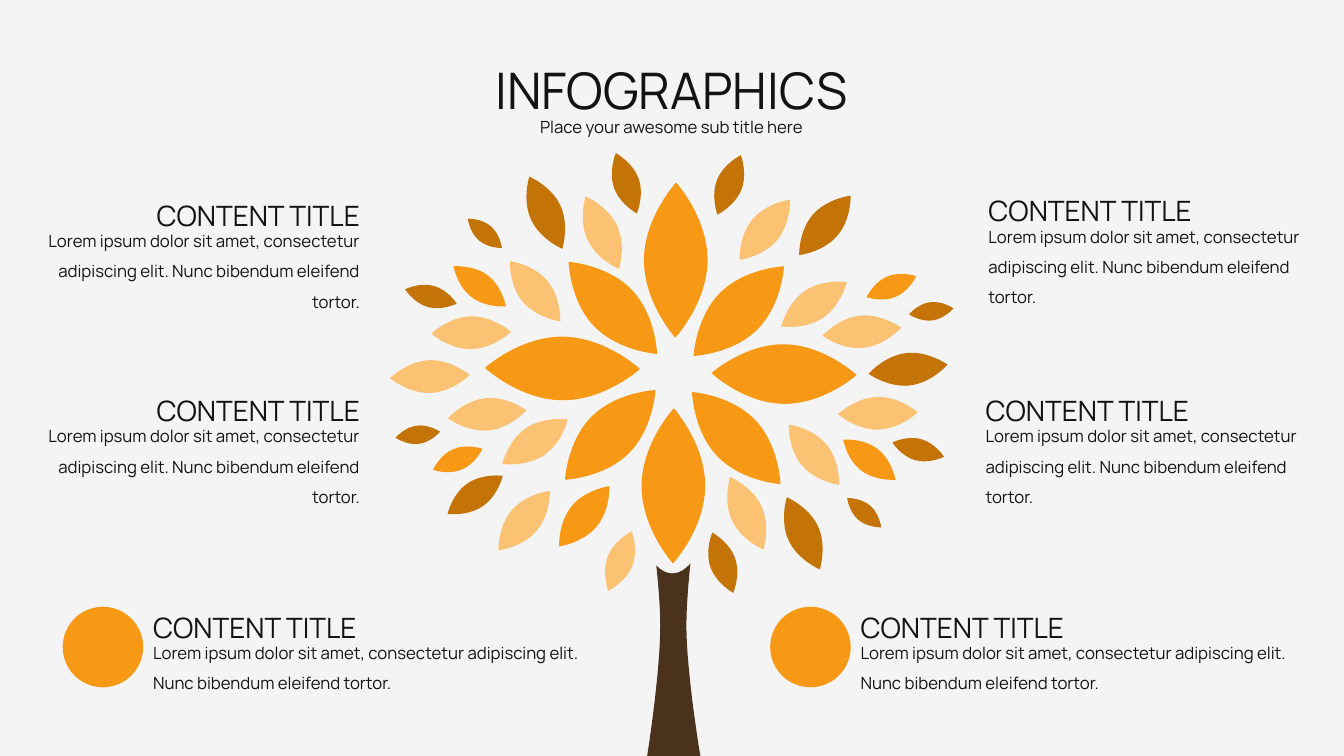
"""Build the tree infographic slide with leaves, trunk and six text cards."""
from dataclasses import dataclass

from lxml import etree
from pptx import Presentation
from pptx.dml.color import RGBColor
from pptx.enum.shapes import MSO_SHAPE
from pptx.enum.text import MSO_ANCHOR, MSO_AUTO_SIZE, PP_ALIGN
from pptx.oxml.ns import qn
from pptx.shapes.autoshape import Shape
from pptx.slide import Slide
from pptx.util import Cm, Pt

OVAL = MSO_SHAPE.OVAL
TOP = MSO_ANCHOR.TOP
GROW = MSO_AUTO_SIZE.SHAPE_TO_FIT_TEXT
LEFT, CENTER, RIGHT, JUSTIFY = PP_ALIGN.LEFT, PP_ALIGN.CENTER, PP_ALIGN.RIGHT, PP_ALIGN.JUSTIFY

BACKGROUND = RGBColor(0xF4, 0xF4, 0xF4)
INK = RGBColor(0x13, 0x13, 0x13)
ORANGE = RGBColor(0xF8, 0x99, 0x15)
PEACH = RGBColor(0xFB, 0xC2, 0x73)
OCHRE = RGBColor(0xC4, 0x74, 0x06)
BARK = RGBColor(0x4B, 0x32, 0x1D)

FONT = "Manrope"
HEADING = "CONTENT TITLE"
BODY = "Lorem ipsum dolor sit amet, consectetur adipiscing elit. Nunc bibendum eleifend tortor."
TITLE_ONLY_LAYOUT = 5
LEAF_WIDTH_RATIO = 0.41
LEAF_ROUNDNESS = 0.55
CROWN_CENTER = (17, 9.4)
CIRCLE_SIZE = 2.03

Point = tuple[float, float]
Curve = tuple[Point, Point, Point, Point]


@dataclass(frozen=True)
class Leaf:
    """A leaf between two tips, in centimetres."""
    start: Point
    end: Point
    color: RGBColor

    def opposite(self, color: RGBColor) -> "Leaf":
        """Turn the leaf half a circle around the crown centre."""
        center_x, center_y = CROWN_CENTER
        start, end = ((2 * center_x - x, 2 * center_y - y) for x, y in (self.start, self.end))
        return Leaf(start, end, color)


@dataclass(frozen=True)
class Card:
    """A heading with body text, in centimetres."""
    left: float
    top: float
    width: float = 8.66
    body_height: float = 2.57
    heading_align: PP_ALIGN = JUSTIFY
    body_align: PP_ALIGN = LEFT
    has_circle: bool = False


PAIRED_LEAVES = [
    Leaf((17.04, 4.6), (17.02, 8.51), ORANGE),
    Leaf((17.48, 8.97), (19.76, 6.71), ORANGE),
    Leaf((14.33, 6.6), (16.56, 8.92), ORANGE),
    Leaf((21.84, 7.49), (23.09, 6.96), ORANGE),
    Leaf((12.75, 7.72), (11.43, 6.71), ORANGE),
    Leaf((19.69, 8.23), (21.34, 7.11), PEACH),
    Leaf((20.73, 8.46), (22.71, 8.26), PEACH),
    Leaf((12.88, 8.36), (10.87, 8.41), PEACH),
    Leaf((14.12, 8.1), (12.85, 6.58), PEACH),
    Leaf((15.6, 6.78), (14.76, 4.95), PEACH),
    Leaf((11.51, 7.65), (10.21, 7.29), OCHRE),
    Leaf((12.65, 6.25), (11.79, 5.51), OCHRE),
    Leaf((22.91, 7.92), (24.03, 7.77), OCHRE),
    Leaf((16.05, 5.38), (15.52, 3.86), OCHRE),
    Leaf((14.17, 6.27), (13.34, 4.45), OCHRE),
]
UPPER_LEAF_OVER_ORANGE = Leaf((18.64, 6.55), (19.91, 5.03), PEACH)
UPPER_LEAVES_OVER_PEACH = [
    Leaf((20.14, 6.43), (21.44, 4.93), OCHRE),
    Leaf((18.08, 5.41), (18.67, 3.91), OCHRE),
]
SINGLE_LEAVES = [
    Leaf((12.22, 9.27), (16.13, 9.3), ORANGE),
    Leaf((17.93, 9.4), (21.59, 9.45), ORANGE),
    Leaf((21.89, 9.42), (23.88, 9.19), OCHRE),
    Leaf((9.83, 9.53), (11.84, 9.45), PEACH),
    Leaf((12.67, 11.99), (11.28, 12.95), OCHRE),
]
TRUNK = [
    ((17.4, 14.2), (17.27, 14.35), (17.12, 14.45), (16.94, 14.45)),
    ((16.94, 14.45), (16.81, 14.45), (16.66, 14.38), (16.54, 14.25)),
    ((16.54, 14.25), (16.59, 14.73), (16.64, 15.29), (16.64, 15.77)),
    ((16.64, 15.77), (16.64, 16.97), (16.31, 19.05), (16.31, 19.05)),
    ((16.31, 19.05), (16.31, 19.05), (17.65, 19.05), (17.65, 19.05)),
    ((17.65, 19.05), (17.65, 19.05), (17.3, 16.97), (17.3, 15.77)),
    ((17.3, 15.77), (17.3, 15.26), (17.35, 14.69), (17.4, 14.2)),
]
CARDS = [
    Card(24.66, 4.34),
    Card(24.59, 9.37),
    Card(0.66, 4.45, heading_align=RIGHT, body_align=RIGHT),
    Card(0.66, 9.37, heading_align=RIGHT, body_align=RIGHT),
    Card(21.44, 14.83, 11.96, 1.7, has_circle=True),
    Card(3.61, 14.83, 11.96, 1.7, has_circle=True),
]


def leaf_curves(leaf: Leaf) -> list[Curve]:
    """Give the four curves of a symmetric leaf."""
    (x1, y1), (x2, y2) = leaf.start, leaf.end
    half_x, half_y = (x2 - x1) / 2, (y2 - y1) / 2

    def place(along: float, across: float) -> Point:
        """Map leaf coordinates to the slide."""
        side = across * LEAF_WIDTH_RATIO
        return (x1 + half_x * (1 + along) - half_y * side,
                y1 + half_y * (1 + along) + half_x * side)

    curves = []
    for side in (1, -1):
        start, end, belly = place(-side, 0), place(side, 0), place(0, side)
        before, after = place(-side * LEAF_ROUNDNESS, side), place(side * LEAF_ROUNDNESS, side)
        curves += [(start, start, before, belly), (belly, after, end, end)]
    return curves


def paint(shape: Shape, color: RGBColor) -> None:
    """Give a shape a plain fill without line or shadow."""
    shape.shadow.inherit = False
    shape.fill.solid()
    shape.fill.fore_color.rgb = color
    shape.line.fill.background()


def add_outline(slide: Slide, curves: list[Curve], color: RGBColor) -> None:
    """Draw a closed outline and bend its segments into cubic curves."""
    knots = [(Cm(x), Cm(y)) for x, y in (curve[0] for curve in curves)]
    builder = slide.shapes.build_freeform(*knots[0])
    builder.add_line_segments(knots[1:] + knots[:1], close=True)
    shape = builder.convert_to_shape()
    segments = list(shape._element.iter(qn("a:lnTo")))
    for segment, curve in zip(segments, curves):
        bend = etree.Element(qn("a:cubicBezTo"))
        for x, y in curve[1:]:
            etree.SubElement(bend, qn("a:pt"), x=str(Cm(x) - shape.left), y=str(Cm(y) - shape.top))
        segment.getparent().replace(segment, bend)
    paint(shape, color)


def write(shape: Shape, text: str, size: int, align: PP_ALIGN) -> None:
    """Set and format the single paragraph of a shape."""
    frame = shape.text_frame
    frame.text = text
    frame.word_wrap = True
    frame.auto_size = GROW
    frame.vertical_anchor = TOP
    paragraph = frame.paragraphs[0]
    paragraph.alignment = align
    paragraph.line_spacing = 1.5
    paragraph.space_before = Pt(0)
    font = paragraph.runs[0].font
    font.name, font.size, font.color.rgb = FONT, Pt(size), INK


def add_card(slide: Slide, card: Card) -> None:
    """Draw a card and its circle, if it has one."""
    if card.has_circle:
        circle = slide.shapes.add_shape(OVAL, Cm(card.left - CIRCLE_SIZE), Cm(card.top + 0.46),
                                        Cm(CIRCLE_SIZE), Cm(CIRCLE_SIZE))
        paint(circle, ORANGE)
    left, width = Cm(card.left), Cm(card.width)
    body = slide.shapes.add_textbox(left, Cm(card.top + 0.99), width, Cm(card.body_height))
    write(body, BODY, 12, card.body_align)
    heading = slide.shapes.add_textbox(left, Cm(card.top), width, Cm(1.55))
    write(heading, HEADING, 20, card.heading_align)


def main() -> None:
    """Build and save the presentation."""
    presentation = Presentation()
    presentation.slide_width, presentation.slide_height = Cm(33.87), Cm(19.05)
    slide = presentation.slides.add_slide(presentation.slide_layouts[TITLE_ONLY_LAYOUT])
    slide.background.fill.solid()
    slide.background.fill.fore_color.rgb = BACKGROUND

    title = slide.shapes.title
    title.left, title.top, title.width, title.height = Cm(1.57), Cm(0.61), Cm(30.71), Cm(2.57)
    write(title, "INFOGRAPHICS", 36, CENTER)
    subtitle = slide.shapes.add_textbox(Cm(1.57), Cm(2.57), Cm(30.71), Cm(0.79))
    write(subtitle, "Place your awesome sub title here", 12, CENTER)

    leaves = SINGLE_LEAVES + PAIRED_LEAVES + [leaf.opposite(leaf.color) for leaf in PAIRED_LEAVES]
    leaves += [UPPER_LEAF_OVER_ORANGE, UPPER_LEAF_OVER_ORANGE.opposite(ORANGE)]
    leaves += UPPER_LEAVES_OVER_PEACH + [leaf.opposite(PEACH) for leaf in UPPER_LEAVES_OVER_PEACH]
    for leaf in leaves:
        add_outline(slide, leaf_curves(leaf), leaf.color)
    add_outline(slide, TRUNK, BARK)
    for card in CARDS:
        add_card(slide, card)
    presentation.save("out.pptx")


if __name__ == "__main__":
    main()
